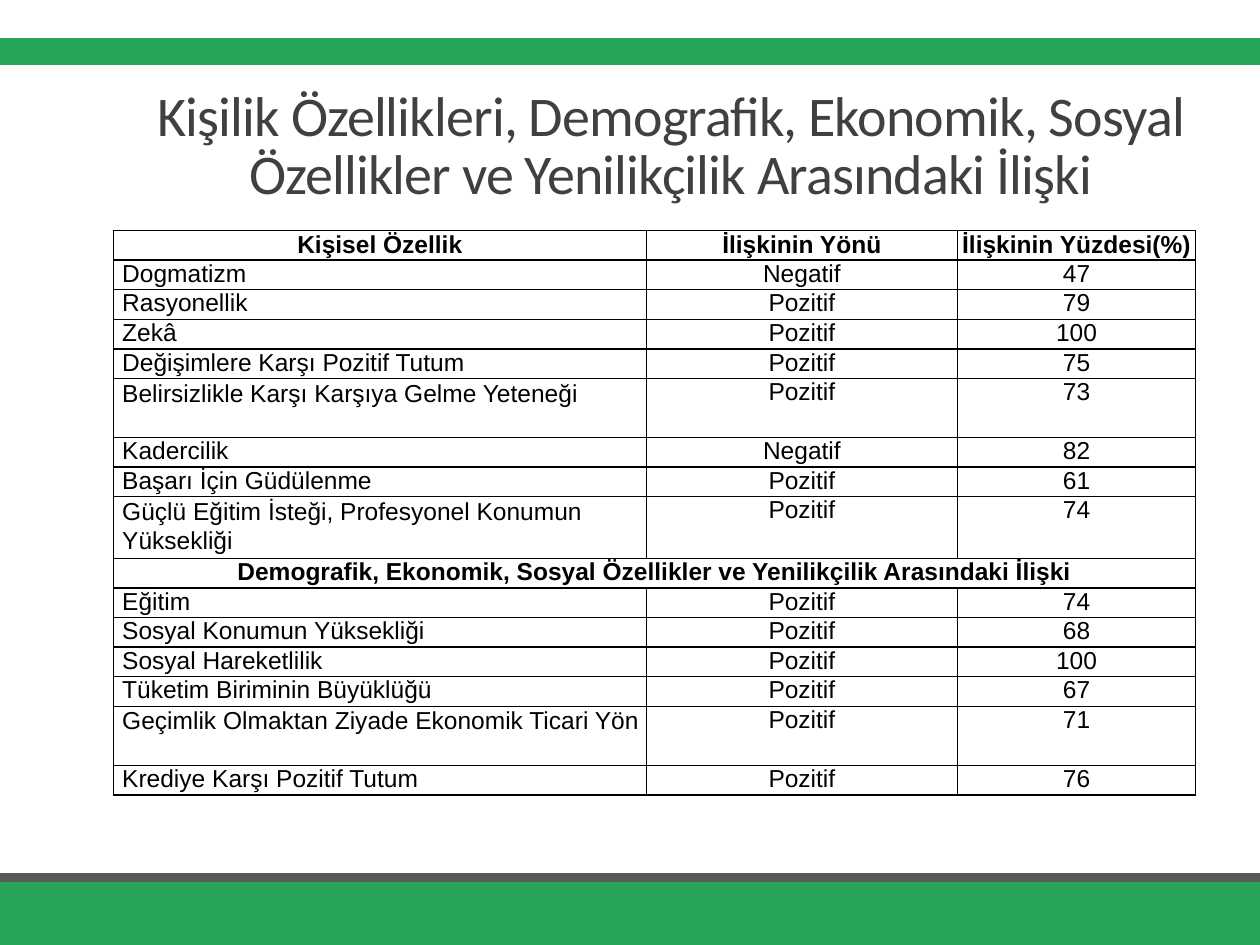
from pptx import Presentation, util as u
from pptx.dml.color import RGBColor
from pptx.enum import shapes, text
from pptx.oxml import parse_xml
from pptx.oxml.ns import nsdecls

GREEN, GRAY, BLACK = "27A659", "595959", "000000"


def color(code):
    return RGBColor.from_string(code)


class Deck:
    def __init__(self, wide, high):
        self.prs = Presentation()
        self.prs.slide_width = u.Inches(wide)
        self.prs.slide_height = u.Inches(high)
        self.slide = self.prs.slides.add_slide(self.prs.slide_layouts[6])

    def band(self, top, high, fill, edge=None):
        bar = self.slide.shapes.add_shape(
            shapes.MSO_SHAPE.RECTANGLE, 0, u.Inches(top),
            self.prs.slide_width, u.Inches(high))
        bar.shadow.inherit = False
        bar.fill.solid()
        bar.fill.fore_color.rgb = color(fill)
        if edge:
            bar.line.color.rgb = color(fill)
            bar.line.width = u.Pt(edge)
        else:
            bar.line.fill.background()

    def style(self, par, face, size, ink, bold=False, center=True):
        par.alignment = text.PP_ALIGN.CENTER if center else text.PP_ALIGN.LEFT
        for run in par.runs:
            run.font.name = face
            run.font.size = u.Pt(size)
            run.font.bold = bold
            run.font.color.rgb = color(ink)

    def title(self, words, left, top, wide, high):
        box = self.slide.shapes.add_textbox(*map(u.Inches, (left, top, wide, high)))
        frame = box.text_frame
        frame.word_wrap = True
        frame.vertical_anchor = text.MSO_ANCHOR.BOTTOM
        frame.text = words
        par = frame.paragraphs[0]
        par.line_spacing = 0.85
        self.style(par, "Calibri", 32, "404040")
        # Tighter letter spacing, in hundredths of a point
        par.runs[0].font._element.set("spc", "-50")

    def borders(self, cell):
        props = cell._tc.get_or_add_tcPr()
        for i, side in enumerate(("lnL", "lnR", "lnT", "lnB")):
            props.insert(i, parse_xml(
                f'<a:{side} {nsdecls("a")} w="{u.Pt(1)}"><a:solidFill>'
                f'<a:srgbClr val="{BLACK}"/></a:solidFill></a:{side}>'))

    def cell(self, cell, words, bold, center, head, tall):
        cell.margin_left = u.Inches(0 if center else 0.07)
        cell.margin_right = cell.margin_top = cell.margin_bottom = 0
        cell.vertical_anchor = text.MSO_ANCHOR.MIDDLE if head else text.MSO_ANCHOR.TOP
        cell.fill.background()
        cell.text_frame.text = words
        par = cell.text_frame.paragraphs[0]
        par.space_before = u.Pt(0.3)
        if tall and not center:
            par.line_spacing = 1.05
        self.style(par, "Arial", 14, BLACK, bold, center)
        self.borders(cell)

    def table(self, rows, tall, left, top, widths, high):
        shape = self.slide.shapes.add_table(
            len(rows), len(widths), u.Inches(left), u.Inches(top),
            u.Inches(sum(widths)), u.Inches(high))
        grid = shape.table
        grid.first_row = grid.horz_banding = False
        for col, wide in zip(grid.columns, widths):
            col.width = u.Inches(wide)
        # A tall row takes two units of height
        unit = u.Inches(high / (len(rows) + len(tall)))
        for r, row in enumerate(rows):
            grid.rows[r].height = unit * (2 if r in tall else 1)
            whole = len(row) == 1
            if whole:
                grid.cell(r, 0).merge(grid.cell(r, len(widths) - 1))
            bold = r == 0 or whole
            for c in range(len(widths)):
                if c < len(row):
                    self.cell(grid.cell(r, c), row[c], bold,
                              bold or c > 0, r == 0, r in tall)
                else:
                    self.borders(grid.cell(r, c))


ROWS = [
    ("Kişisel Özellik", "İlişkinin Yönü", "İlişkinin Yüzdesi(%)"),
    ("Dogmatizm", "Negatif", "47"),
    ("Rasyonellik", "Pozitif", "79"),
    ("Zekâ", "Pozitif", "100"),
    ("Değişimlere Karşı Pozitif Tutum", "Pozitif", "75"),
    ("Belirsizlikle Karşı Karşıya Gelme Yeteneği", "Pozitif", "73"),
    ("Kadercilik", "Negatif", "82"),
    ("Başarı İçin Güdülenme", "Pozitif", "61"),
    ("Güçlü Eğitim İsteği, Profesyonel Konumun Yüksekliği", "Pozitif", "74"),
    ("Demografik, Ekonomik, Sosyal Özellikler ve Yenilikçilik Arasındaki İlişki",),
    ("Eğitim", "Pozitif", "74"),
    ("Sosyal Konumun Yüksekliği", "Pozitif", "68"),
    ("Sosyal Hareketlilik", "Pozitif", "100"),
    ("Tüketim Biriminin Büyüklüğü", "Pozitif", "67"),
    ("Geçimlik Olmaktan Ziyade Ekonomik Ticari Yön", "Pozitif", "71"),
    ("Krediye Karşı Pozitif Tutum", "Pozitif", "76"),
]


def main():
    deck = Deck(10, 7.5)
    # Bands at the foot and the top
    deck.band(7, 0.5, GREEN)
    deck.band(6.93, 0.07, GRAY)
    deck.band(0.31, 0.2, GREEN, 1.25)
    # Title
    deck.title("Kişilik Özellikleri, Demografik, Ekonomik, Sosyal Özellikler "
               "ve Yenilikçilik Arasındaki İlişki", 0.9, 0.47, 8.85, 1.21)
    # Table of traits
    deck.table(ROWS, {5, 8, 14}, 0.9, 1.83, (4.23, 2.47, 1.89), 4.46)
    deck.prs.save("out.pptx")


if __name__ == "__main__":
    main()
